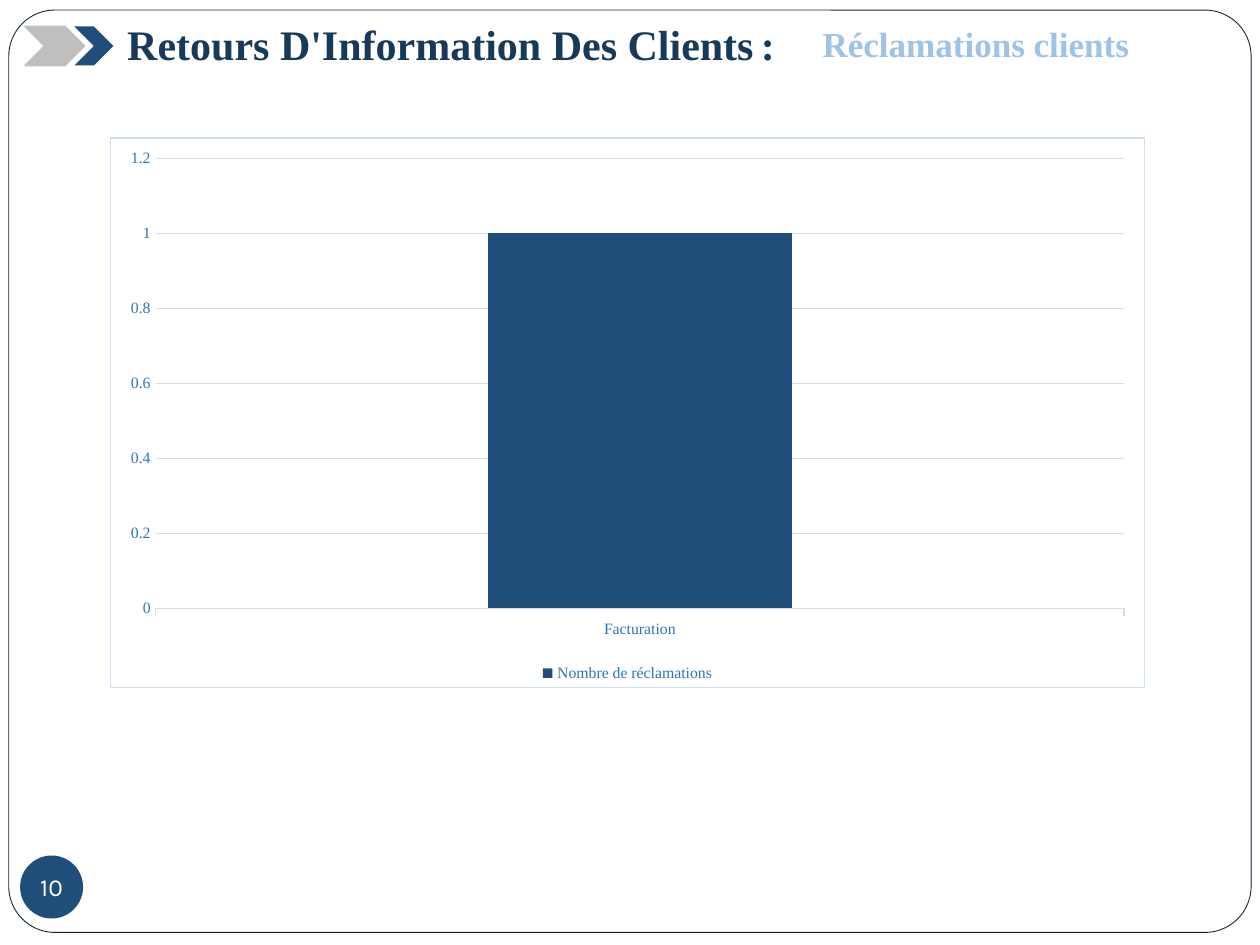
from lxml.etree import SubElement
from pptx import Presentation
from pptx.chart.data import CategoryChartData
from pptx.dml.color import RGBColor
from pptx.enum.chart import XL_CHART_TYPE, XL_LEGEND_POSITION, XL_TICK_MARK
from pptx.enum.shapes import MSO_SHAPE
from pptx.enum.text import MSO_ANCHOR, PP_ALIGN
from pptx.oxml import parse_xml
from pptx.oxml.ns import nsdecls, qn
from pptx.util import Inches, Pt

WIDE, HIGH = 10, 7.5
COLS, ROWS = 100, 75
SERIF, SANS = "Times New Roman", "Karla"
NAVY, BLUE, SKY, PALE = "173A5B", "1E4E79", "9DC3E6", "CBE0F2"
INK, MID, GREY, WHITE = "0F273C", "2D76B6", "BFBFBF", "FFFFFF"


def tint(code):
    return RGBColor.from_string(code)


def span(box):
    """Turn a box in columns and rows into slide lengths."""
    x, y, w, h = box
    col, row = WIDE / COLS, HIGH / ROWS
    return [Inches(n) for n in (x * col, y * row, w * col, h * row)]


def write(shape, text, size=24, color=NAVY, font=SERIF, bold=True,
          align=PP_ALIGN.LEFT, anchor=MSO_ANCHOR.TOP, wrap=True, inset=None):
    frame = shape.text_frame
    frame.word_wrap = wrap
    frame.vertical_anchor = anchor
    if inset is not None:
        frame.margin_left = frame.margin_right = Inches(inset)
        frame.margin_top = frame.margin_bottom = Inches(inset)
    par = frame.paragraphs[0]
    par.alignment = align
    run = par.add_run()
    run.text = text
    run.font.size, run.font.name, run.font.bold = Pt(size), font, bold
    run.font.color.rgb = tint(color)


def draw(slide, kind, box, fill, line=None, width=1):
    shape = slide.shapes.add_shape(kind, *span(box))
    shape.shadow.inherit = False
    shape.fill.solid()
    shape.fill.fore_color.rgb = tint(fill)
    if line:
        shape.line.color.rgb = tint(line)
        shape.line.width = Pt(width)
    else:
        shape.line.fill.background()
    return shape


def border(slide, box):
    """Put the rounded page border behind all else."""
    shape = draw(slide, MSO_SHAPE.ROUNDED_RECTANGLE, box, WHITE, INK, 0.5)
    shape.adjustments[0] = 0.05
    shape.element.getparent().insert(2, shape.element)


def header(slide, box):
    x, y, w, h = box
    tip = y + 1.1
    draw(slide, MSO_SHAPE.CHEVRON, (x, tip, 4.7, 3.1), GREY, GREY)
    draw(slide, MSO_SHAPE.CHEVRON, (x + 3.9, tip, 3.1, 3.1), BLUE)
    title = slide.shapes.title
    title.left, title.top, title.width, title.height = span((x + 7.1, y, 53, h))
    write(title, "Retours D'Information Des Clients")
    colon = slide.shapes.add_textbox(*span((x + 57.4, y, 2.9, h)))
    write(colon, ":", wrap=False)
    topic = slide.shapes.add_textbox(*span((x + 62.3, y + 0.3, w - 62.3, 4.4)))
    write(topic, "Réclamations clients", size=20, color=SKY)


def style(font, size, color):
    font.size, font.name = Pt(size), SERIF
    font.color.rgb = tint(color)


def rule(line):
    line.color.rgb = tint(PALE)
    line.width = Pt(0.75)


def edge(chart):
    """Give the chart area a white fill and a thin line."""
    props = parse_xml(f"<c:spPr {nsdecls('c', 'a')}/>")
    fill = SubElement(props, qn("a:solidFill"))
    SubElement(fill, qn("a:srgbClr"), val=WHITE)
    line = SubElement(props, qn("a:ln"), w=str(Pt(0.75)))
    fill = SubElement(line, qn("a:solidFill"))
    SubElement(fill, qn("a:srgbClr"), val=PALE)
    chart.element.find(qn("c:chart")).addnext(props)


def graph(slide, box):
    data = CategoryChartData()
    data.categories = ["Facturation"]
    data.add_series("Nombre de réclamations", [1])
    kind = XL_CHART_TYPE.COLUMN_CLUSTERED
    chart = slide.shapes.add_chart(kind, *span(box), data).chart
    style(chart.font, 10, INK)
    chart.has_title = False
    chart.has_legend = True
    chart.legend.position = XL_LEGEND_POSITION.BOTTOM
    chart.legend.include_in_layout = False
    style(chart.legend.font, 9, MID)

    plot = chart.plots[0]
    plot.gap_width, plot.overlap = 219, -27
    plot.vary_by_categories = False
    bars = plot.series[0].format
    bars.fill.solid()
    bars.fill.fore_color.rgb = tint(BLUE)

    cat, val = chart.category_axis, chart.value_axis
    for axis in (cat, val):
        style(axis.tick_labels.font, 9, MID)
    cat.major_tick_mark = XL_TICK_MARK.OUTSIDE
    rule(cat.format.line)
    val.major_tick_mark = XL_TICK_MARK.NONE
    val.format.line.fill.background()
    val.has_major_gridlines = True
    rule(val.major_gridlines.format.line)
    val.minimum_scale, val.maximum_scale, val.major_unit = 0, 1.2, 0.2
    edge(chart)


def badge(slide, box):
    shape = draw(slide, MSO_SHAPE.OVAL, box, BLUE)
    write(shape, "10", size=14, color=WHITE, font=SANS, bold=False,
          align=PP_ALIGN.CENTER, anchor=MSO_ANCHOR.MIDDLE, wrap=False, inset=0)


def main():
    deck = Presentation()
    deck.slide_width, deck.slide_height = Inches(WIDE), Inches(HIGH)
    slide = deck.slides.add_slide(deck.slide_layouts[5])
    border(slide, (0.7, 0.8, 98.6, 73.2))
    header(slide, (2, 1, 96, 5))
    graph(slide, (8.7, 10.9, 82.2, 43.7))
    badge(slide, (1.6, 67.9, 5, 5))
    deck.save("out.pptx")


if __name__ == "__main__":
    main()
